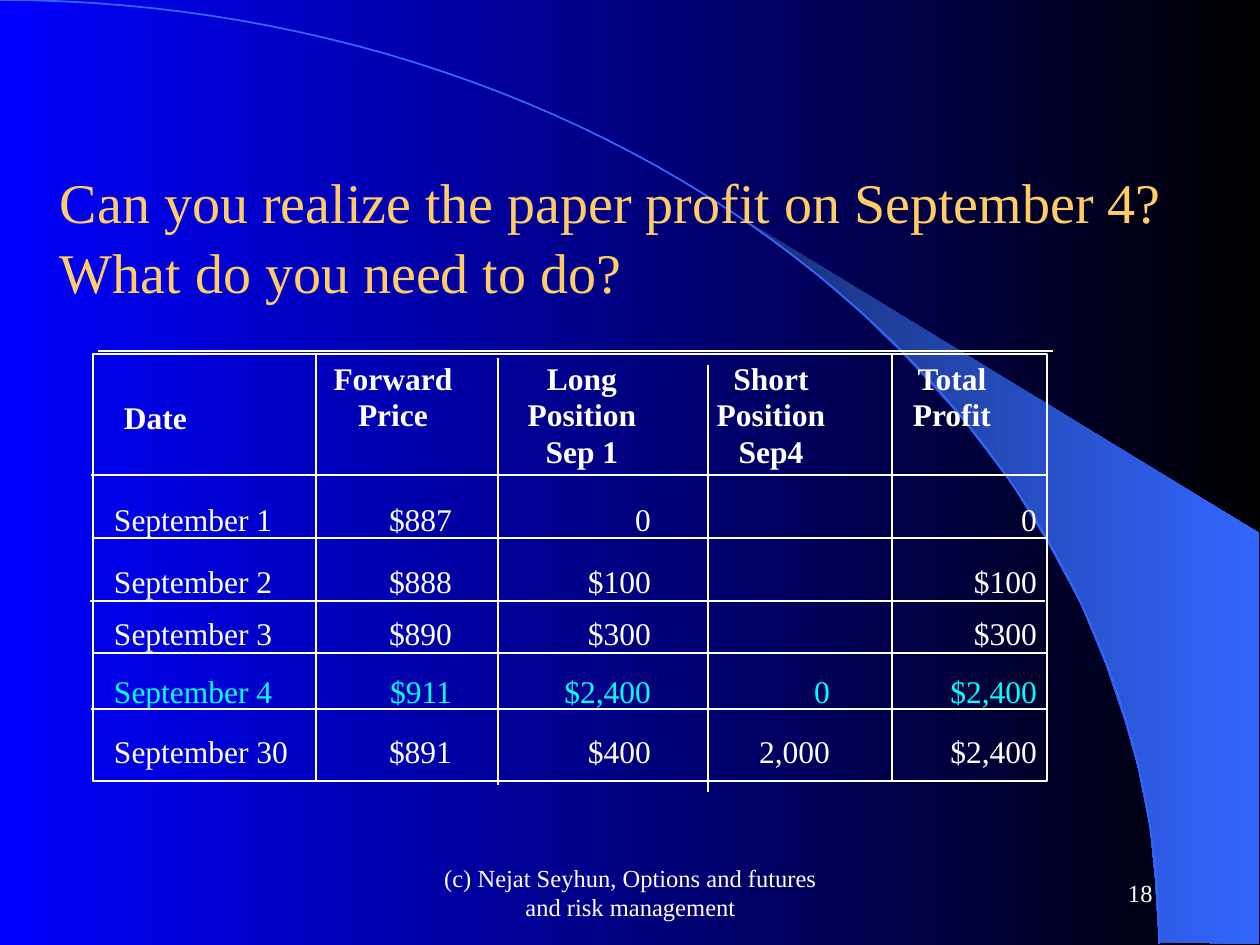
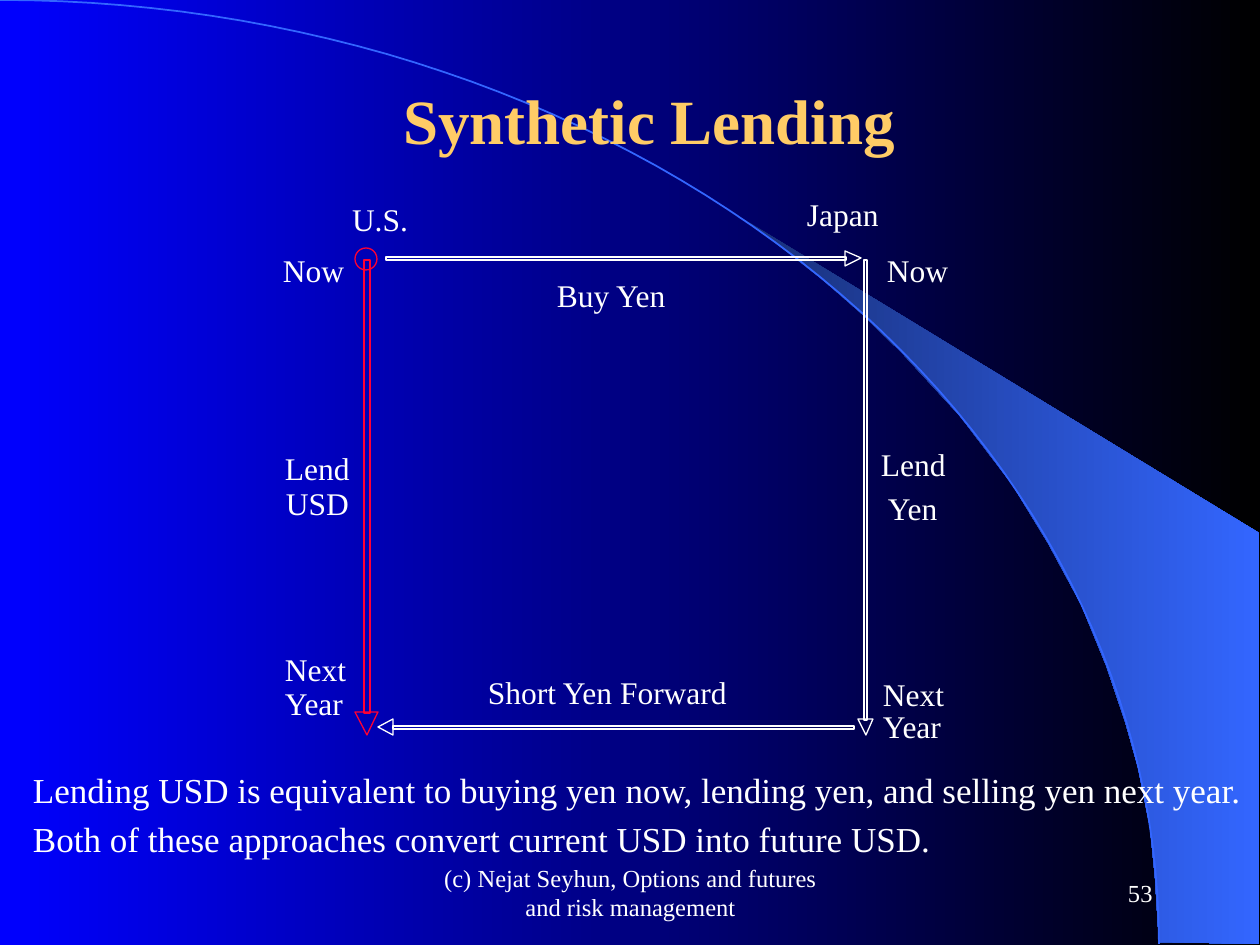
from math import cos, pi, sin

from lxml import etree
from pptx import Presentation
from pptx.dml.color import RGBColor
from pptx.enum.shapes import MSO_CONNECTOR, MSO_SHAPE
from pptx.enum.text import MSO_ANCHOR, MSO_AUTO_SIZE, PP_ALIGN
from pptx.oxml.ns import qn
from pptx.util import Pt

LEFT, CENTER, RIGHT = PP_ALIGN.LEFT, PP_ALIGN.CENTER, PP_ALIGN.RIGHT
TOP, MIDDLE, BOTTOM = MSO_ANCHOR.TOP, MSO_ANCHOR.MIDDLE, MSO_ANCHOR.BOTTOM
RECTANGLE, OVAL = MSO_SHAPE.RECTANGLE, MSO_SHAPE.OVAL
STRAIGHT = MSO_CONNECTOR.STRAIGHT
NO_AUTOFIT = MSO_AUTO_SIZE.NONE

BLUE = RGBColor(0x00, 0x00, 0xFF)
BLACK = RGBColor(0x00, 0x00, 0x00)
NAVY = RGBColor(0x18, 0x2F, 0x76)
AZURE = RGBColor(0x33, 0x66, 0xFF)
WHITE = RGBColor(0xFF, 0xFF, 0xFF)
GOLD = RGBColor(0xFF, 0xCC, 0x66)
CYAN = RGBColor(0x00, 0xFF, 0xFF)
RED = RGBColor(0xFF, 0x00, 0x33)

FONT = "Times New Roman"
NO_GRID_STYLE = "{2D5ABB26-0587-4C30-8999-92F81FD0307C}"
SCALE = 914400 / 126  # EMU per px


def px(*lengths):
    return [round(length * SCALE) for length in lengths]


def write(frame, text, size, color=WHITE, bold=False, align=LEFT,
          anchor=TOP, margins=None, spacing=None, wrap=True):
    frame_format = {"word_wrap": wrap, "vertical_anchor": anchor,
                    "auto_size": NO_AUTOFIT}
    if margins:
        sides = ("margin_left", "margin_top", "margin_right", "margin_bottom")
        frame_format.update(zip(sides, px(*margins)))
    for name, value in frame_format.items():
        setattr(frame, name, value)
    frame.text = text
    for paragraph in frame.paragraphs:
        paragraph.alignment = align
        paragraph.line_spacing = spacing
        for run in paragraph.runs:
            for name, value in {"name": FONT, "size": Pt(size), "bold": bold}.items():
                setattr(run.font, name, value)
            run.font.color.rgb = color


prs = Presentation()
prs.slide_width, prs.slide_height = px(1260, 945)
master = prs.slide_master
title_only = prs.slide_layouts[5]
profit_slide = prs.slides.add_slide(title_only)
lending_slide = prs.slides.add_slide(title_only)

# Shared backdrop: gradient, swoosh band and arc, kept on the master
band_points = [(1159, 942), (1259, 944), (1259, 533), (742, 218), (786, 251),
               (823, 280), (863, 315), (902, 353), (960, 416), (1012, 484),
               (1048, 543), (1081, 604), (1106, 665), (1125, 721), (1138, 767),
               (1150, 827), (1155, 877)]
band_outline = profit_slide.shapes.build_freeform(*band_points[0], scale=SCALE)
band_outline.add_line_segments(band_points[1:], close=True)
band = band_outline.convert_to_shape()
band.line.fill.background()

STEPS = 60
arc_points = [(11590 * sin(step * pi / 2 / STEPS), 9440 * (1 - cos(step * pi / 2 / STEPS)))
              for step in range(1, STEPS + 1)]
arc_outline = profit_slide.shapes.build_freeform(0, 0, scale=SCALE / 10)
arc_outline.add_line_segments(arc_points, close=False)
arc = arc_outline.convert_to_shape()
arc.fill.background()
arc.line.color.rgb = AZURE
arc.line.width = Pt(1)

for fill, colors in ((master.background.fill, (BLUE, BLACK)), (band.fill, (NAVY, AZURE))):
    fill.gradient()
    fill.gradient_angle = 0
    for stop, color in zip(fill.gradient_stops, colors):
        stop.color.rgb = color

for depth, backdrop in enumerate((band, arc)):
    backdrop.shadow.inherit = False
    master.shapes._spTree.insert(2 + depth, backdrop._element)

# Titles and footers
title_formats = (
    (profit_slide, "18", (47, 159, 1145, 147),
     "Can you realize the paper profit on September 4? What do you need to do?",
     {"size": 32, "spacing": 1.04, "margins": (13, 6, 13, 6)}),
    (lending_slide, "53", (149, 81, 1000, 76), "Synthetic Lending",
     {"size": 36, "bold": True, "align": CENTER, "margins": (0, 0, 0, 0)}),
)
for slide, number, place, heading, title_format in title_formats:
    title = slide.shapes.title
    title.left, title.top, title.width, title.height = px(*place)
    write(title.text_frame, heading, color=GOLD, **title_format)
    footers = (
        ((431, 861, 399, 63), "(c) Nejat Seyhun, Options and futures and risk management", CENTER),
        ((903, 861, 262, 63), number, RIGHT),
    )
    for footer_place, footer, align in footers:
        footer_box = slide.shapes.add_textbox(*px(*footer_place))
        write(footer_box.text_frame, footer, 14, align=align, anchor=MIDDLE)

# Profit table
headers = ("Date", "Forward\nPrice", "Long\nPosition\nSep 1",
           "Short\nPosition\nSep4", "Total\nProfit")
positions = (
    ("September 1", "$887", "0", "", "0"),
    ("September 2", "$888", "$100", "", "$100"),
    ("September 3", "$890", "$300", "", "$300"),
    ("September 4", "$911", "$2,400", "0", "$2,400"),
    ("September 30", "$891", "$400", "2,000", "$2,400"),
)
column_widths = (223, 182, 210, 184, 155)
row_heights = (121, 63, 62, 52, 58, 71)
header_insets = (0, 28, 42, 58, 35)
value_insets = (0, 46, 57, 62, 10)
frame_place = px(93, 354, 954, 427)

table = profit_slide.shapes.add_table(6, 5, *frame_place).table
table.first_row = table.horz_banding = False
table._tbl.tblPr.find(qn("a:tableStyleId")).text = NO_GRID_STYLE
for column, width in zip(table.columns, px(*column_widths)):
    column.width = width
for row, height in zip(table.rows, px(*row_heights)):
    row.height = height

for row, texts in enumerate((headers,) + positions):
    for column, text in enumerate(texts):
        cell = table.cell(row, column)
        cell.fill.background()
        if row == 0:
            left, top, right, bottom = 31 if column == 0 else 0, 7, header_insets[column], 0
            align = LEFT if column == 0 else CENTER
            cell.vertical_anchor = MIDDLE if column == 0 else TOP
        else:
            left, top, right = 21 if column == 0 else 0, 0, value_insets[column]
            bottom = 11 if row == len(positions) else 0
            align = LEFT if column == 0 else RIGHT
            cell.vertical_anchor = BOTTOM
        sides = ("margin_left", "margin_top", "margin_right", "margin_bottom")
        for name, value in zip(sides, px(left, top, right, bottom)):
            setattr(cell, name, value)
        cell.text = text
        for paragraph in cell.text_frame.paragraphs:
            paragraph.alignment = align
            paragraph.line_spacing = 1.04 if row == 0 else None
            for run in paragraph.runs:
                for name, value in {"name": FONT, "size": Pt(18), "bold": row == 0}.items():
                    setattr(run.font, name, value)
                run.font.color.rgb = CYAN if text and texts[0] == "September 4" else WHITE

# Table frame and rules
table_frame = profit_slide.shapes.add_shape(RECTANGLE, *frame_place)
table_frame.shadow.inherit = False
table_frame.fill.background()
table_frame.line.color.rgb = WHITE
table_frame.line.width = Pt(0.75)

column_rules = [(x, top, x, top + 427)
                for x, top in ((316, 355), (498, 358), (708, 365), (892, 355))]
row_rules = [(left, y, left + 955, y)
             for left, y in ((98, 351), (91, 475), (93, 538), (90, 601), (93, 653), (91, 709))]
for ends in column_rules + row_rules:
    rule = profit_slide.shapes.add_connector(STRAIGHT, *px(*ends))
    rule.line.color.rgb = WHITE
    rule.line.width = Pt(0.75)
    etree.SubElement(rule._element.spPr, qn("a:effectLst"))

# Lending conclusion
conclusion = lending_slide.shapes.add_textbox(*px(33, 762, 1227, 99))
write(conclusion.text_frame,
      "Lending USD is equivalent to buying yen now, lending yen, and selling yen next year. "
      "Both of these approaches convert current USD into future USD.",
      20, margins=(0, 0, 0, 0), spacing=Pt(28))

# Diagram labels: text, left, top, width
labels = (
    ("U.S.", 352, 200, 57), ("Japan", 807, 195, 72),
    ("Now", 283, 251, 62), ("Now", 887, 251, 62),
    ("Buy Yen", 557, 276, 113), ("Short Yen Forward", 488, 673, 243),
    ("Lend", 285, 449, 64), ("USD", 286, 484, 63),
    ("Lend", 881, 445, 64), ("Yen", 888, 489, 53),
    ("Next", 285, 650, 62), ("Year", 285, 684, 62),
    ("Next", 883, 675, 62), ("Year", 883, 707, 62),
)
for text, left, top, width in labels:
    label = lending_slide.shapes.add_textbox(*px(left, top, width, 38))
    write(label.text_frame, text, 18, margins=(0, 0, 0, 0), wrap=False)

# Cash flow arrows: colour, outlined parts, head corners
flows = (
    (WHITE, [(RECTANGLE, (386, 257, 460, 3))], [(845, 266), (861, 258), (845, 251)]),
    (RED, [(RECTANGLE, (364, 260, 6, 453)), (OVAL, (355, 248, 22, 22))],
     [(355, 712), (367, 735), (378, 712)]),
    (WHITE, [(RECTANGLE, (864, 260, 3, 460))], [(858, 719), (866, 735), (873, 719)]),
    (WHITE, [(RECTANGLE, (393, 726, 461, 3))], [(393, 719), (378, 727), (393, 735)]),
)
for color, outlines, head_corners in flows:
    flow = lending_slide.shapes.add_group_shape()
    parts = [flow.shapes.add_shape(kind, *px(*place)) for kind, place in outlines]
    head = flow.shapes.build_freeform(*head_corners[0], scale=SCALE)
    head.add_line_segments(head_corners[1:], close=True)
    parts.append(head.convert_to_shape())
    for part in parts:
        part.shadow.inherit = False
        part.fill.background()
        part.line.color.rgb = color
        part.line.width = Pt(0.75)

prs.save("out.pptx")
